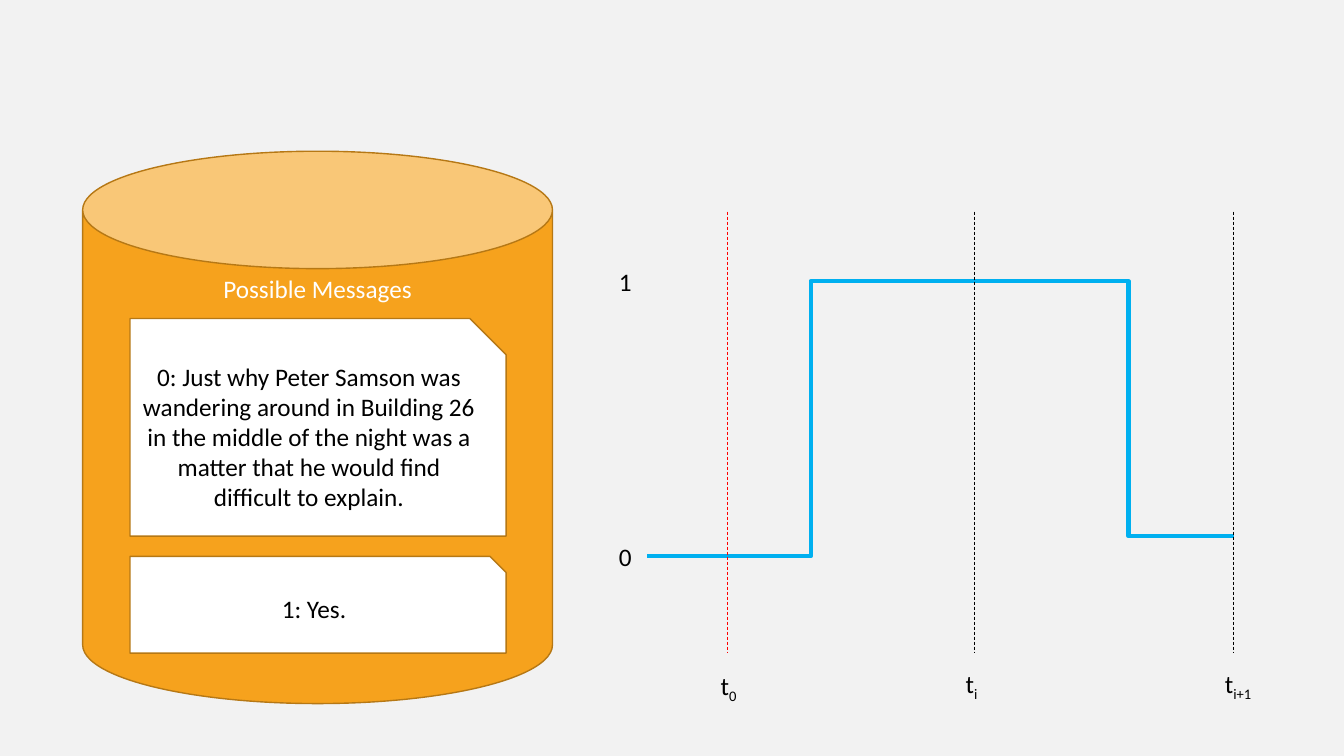
import pptx
import pptx.dml.color
import pptx.enum.dml
import pptx.enum.shapes
import pptx.enum.text
import pptx.oxml.ns
import pptx.util
from lxml import etree

SHAPE = pptx.enum.shapes.MSO_SHAPE
CONNECTOR = pptx.enum.shapes.MSO_CONNECTOR
ANCHOR = pptx.enum.text.MSO_ANCHOR
ALIGN = pptx.enum.text.PP_ALIGN
DASH = pptx.enum.dml.MSO_LINE.DASH


def px(n):
    return pptx.util.Emu(n * 9144)


def rgb(value):
    return pptx.dml.color.RGBColor.from_string(value)


class Diagram:
    """Draws styled elements on one slide, with lengths in hundredths of an inch."""

    font = {"name": "Calibri", "size": pptx.util.Pt(18)}
    border = "B67815"

    def __init__(self, slide, background):
        self.s = slide
        fill = slide.background.fill
        fill.solid()
        fill.fore_color.rgb = rgb(background)

    def run(self, p, text, color="000000", baseline=None):
        r = p.add_run()
        r.text = text
        for key, value in self.font.items():
            setattr(r.font, key, value)
        r.font.color.rgb = rgb(color)
        if baseline:
            r.font._element.set("baseline", str(baseline))

    def shape(self, parent, kind, box, text, fill="FFFFFF", color="000000", anchor=ANCHOR.MIDDLE):
        sp = parent.shapes.add_shape(kind, *map(px, box))
        sp.shadow.inherit = False
        sp.fill.solid()
        sp.fill.fore_color.rgb = rgb(fill)
        sp.line.color.rgb = rgb(self.border)
        sp.line.width = pptx.util.Pt(1)
        tf = sp.text_frame
        for key, value in {"word_wrap": True, "vertical_anchor": anchor}.items():
            setattr(tf, key, value)
        p = tf.paragraphs[0]
        p.alignment = ALIGN.CENTER
        self.run(p, text, color)

    def label(self, x, y, width, text, subscript=None):
        sp = self.s.shapes.add_textbox(*map(px, (x, y, width, 40)))
        tf = sp.text_frame
        fit = {"word_wrap": False, "auto_size": pptx.enum.text.MSO_AUTO_SIZE.SHAPE_TO_FIT_TEXT}
        for key, value in fit.items():
            setattr(tf, key, value)
        p = tf.paragraphs[0]
        self.run(p, text)
        if subscript:
            self.run(p, subscript, baseline=-25000)

    def line(self, kind, start, end, color, width, dash=None, bend=None):
        c = self.s.shapes.add_connector(kind, *map(px, start + end))
        c.line.color.rgb = rgb(color)
        for key, value in {"width": pptx.util.Pt(width), "dash_style": dash}.items():
            setattr(c.line, key, value)
        qn = pptx.oxml.ns.qn
        sp_pr = c._element.spPr
        etree.SubElement(sp_pr, qn("a:effectLst"))
        if bend:
            guides = sp_pr.find(qn("a:prstGeom")).find(qn("a:avLst"))
            etree.SubElement(guides, qn("a:gd"), name="adj1", fmla=f"val {bend}")


def main():
    prs = pptx.Presentation()
    prs.slide_width, prs.slide_height = px(1333), px(750)
    d = Diagram(prs.slides.add_slide(prs.slide_layouts[6]), "F2F2F2")

    store = d.s.shapes.add_group_shape()
    d.shape(store, SHAPE.CAN, (82, 150, 466, 548), "Possible Messages",
            "F6A21D", "FFFFFF", ANCHOR.TOP)
    messages = [
        (316, 216, "0: Just why Peter Samson was wandering around in Building 26 in the "
                   "middle of the night was a matter that he would find difficult to explain."),
        (552, 96, "1: Yes."),
    ]
    for y, height, text in messages:
        d.shape(store, SHAPE.SNIP_1_RECTANGLE, (129, y, 373, height), text)

    peak = (966, 279)
    d.line(CONNECTOR.ELBOW, (642, 552), peak, "00B0F0", 3, bend=50000)
    d.line(CONNECTOR.ELBOW, peak, (1224, 532), "00B0F0", 3, bend=59400)
    for y, level in [(532, "0"), (259, "1")]:
        d.label(604, y, 33, level)

    times = [
        (721, "FF0000", 705, 660, 37, "0"),
        (966, "000000", 948, 658, 32, "i"),
        (1223, "000000", 1205, 658, 51, "i+1"),
    ]
    for x, color, left, top, width, index in times:
        d.line(CONNECTOR.STRAIGHT, (x, 210), (x, 648), color, 0.5, DASH)
        d.label(left, top, width, "t", index)

    prs.save("out.pptx")


if __name__ == "__main__":
    main()
